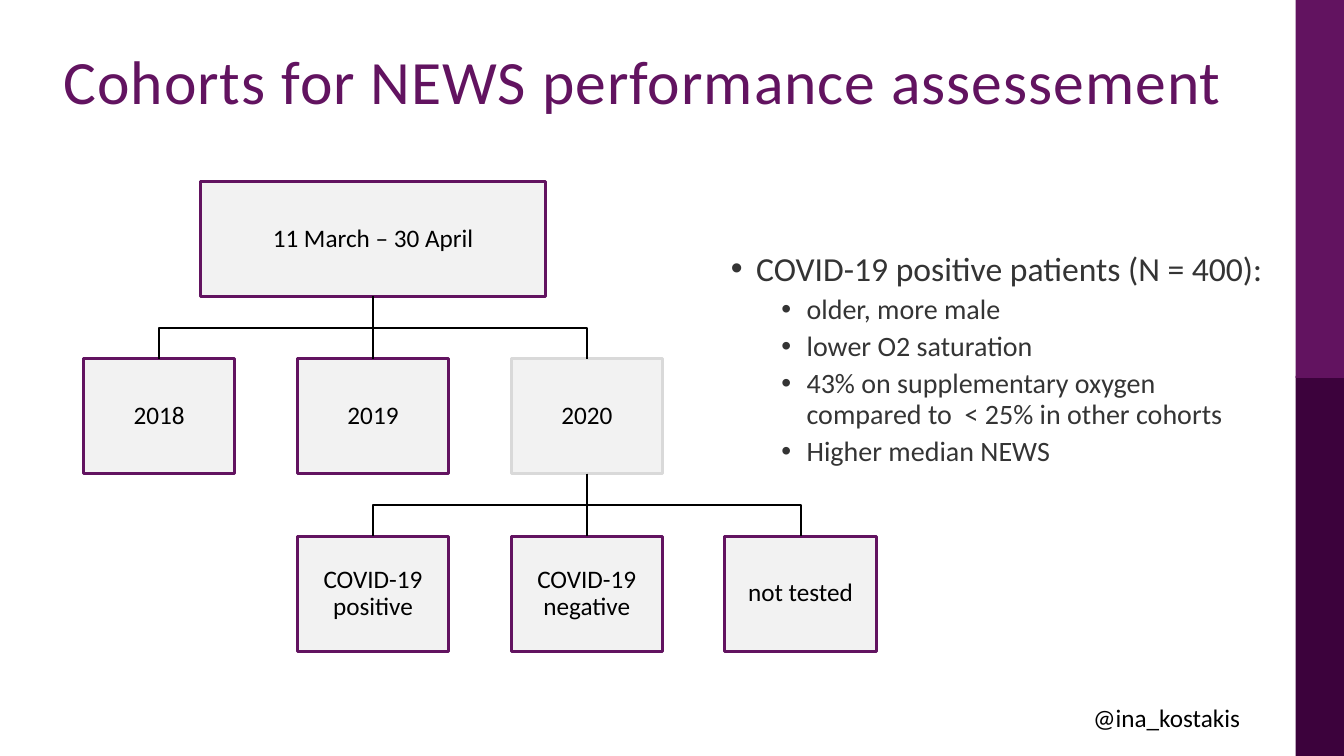
from dataclasses import dataclass

from lxml.etree import SubElement
from pptx import Presentation
from pptx.dml.color import RGBColor
from pptx.enum.shapes import MSO_CONNECTOR, MSO_SHAPE
from pptx.enum.text import MSO_ANCHOR, MSO_AUTO_SIZE, PP_ALIGN
from pptx.oxml.ns import qn
from pptx.shapes.autoshape import Shape
from pptx.slide import Slide
from pptx.text.text import TextFrame, _Paragraph
from pptx.util import Inches, Pt

RECTANGLE = MSO_SHAPE.RECTANGLE
STRAIGHT = MSO_CONNECTOR.STRAIGHT
TOP, MIDDLE = MSO_ANCHOR.TOP, MSO_ANCHOR.MIDDLE
CENTER, LEFT = PP_ALIGN.CENTER, PP_ALIGN.LEFT
NO_AUTOFIT = MSO_AUTO_SIZE.NONE
TOP_SITE, BOTTOM_SITE = 0, 2


@dataclass(frozen=True)
class Theme:
    font: str = "Calibri"
    purple: str = "621360"
    dark_purple: str = "3C023C"
    box_fill: str = "F2F2F2"
    muted: str = "D9D9D9"
    black: str = "000000"
    body: str = "343434"
    title_size: int = 44
    finding_size: int = 24
    detail_size: int = 20
    label_size: int = 18
    border: float = 2.25
    branch: float = 1.5


@dataclass(frozen=True)
class Cohort:
    label: str
    column: int
    row: int
    parent: str = ""
    width: float = 1.5
    border: str = "621360"


@dataclass(frozen=True)
class Finding:
    text: str
    level: int = 1


@dataclass(frozen=True)
class Band:
    top: float
    height: float
    color: str


THEME = Theme()
PERIOD = "11 March – 30 April"
COHORTS = [
    Cohort(PERIOD, 1, 0, width=3.42),
    Cohort("2018", 0, 1, PERIOD),
    Cohort("2019", 1, 1, PERIOD),
    Cohort("2020", 2, 1, PERIOD, border=THEME.muted),
    Cohort("COVID-19 positive", 1, 2, "2020"),
    Cohort("COVID-19 negative", 2, 2, "2020"),
    Cohort("not tested", 3, 2, "2020"),
]
FINDINGS = [
    Finding("COVID-19 positive patients (N = 400):", 0),
    Finding("older, more male"),
    Finding("lower O2 saturation"),
    Finding("43% on supplementary oxygen compared to  < 25% in other cohorts"),
    Finding("Higher median NEWS"),
]
BANDS = [Band(3.73, 3.77, THEME.dark_purple), Band(0, 3.75, THEME.purple)]
FIRST_CENTER, COLUMN_PITCH = 1.58, 2.12
FIRST_TOP, ROW_PITCH, BOX_HEIGHT = 1.8, 1.76, 1.14


def style(paragraph: _Paragraph, size: int, color: str) -> None:
    paragraph.font.name = THEME.font
    paragraph.font.size = Pt(size)
    paragraph.font.color.rgb = RGBColor.from_string(color)


def place(shape: Shape, left: float, top: float, width: float, height: float) -> None:
    shape.left, shape.top = Inches(left), Inches(top)
    shape.width, shape.height = Inches(width), Inches(height)


def setup_frame(frame: TextFrame, anchor: MSO_ANCHOR) -> None:
    frame.word_wrap = True
    frame.auto_size = NO_AUTOFIT
    frame.vertical_anchor = anchor


def add_rectangle(slide: Slide, left: float, top: float, width: float,
                  height: float, fill: str) -> Shape:
    rectangle = slide.shapes.add_shape(
        RECTANGLE, Inches(left), Inches(top), Inches(width), Inches(height))
    rectangle.shadow.inherit = False
    rectangle.fill.solid()
    rectangle.fill.fore_color.rgb = RGBColor.from_string(fill)
    rectangle.line.fill.background()
    return rectangle


def add_cohort(slide: Slide, cohort: Cohort) -> Shape:
    center = FIRST_CENTER + cohort.column * COLUMN_PITCH
    box = add_rectangle(slide, center - cohort.width / 2,
                        FIRST_TOP + cohort.row * ROW_PITCH,
                        cohort.width, BOX_HEIGHT, THEME.box_fill)
    box.line.color.rgb = RGBColor.from_string(cohort.border)
    box.line.width = Pt(THEME.border)
    frame = box.text_frame
    setup_frame(frame, MIDDLE)
    frame.margin_left = frame.margin_right = Inches(0.01)
    frame.margin_top = frame.margin_bottom = Inches(0.01)
    label = frame.paragraphs[0]
    label.text = cohort.label
    label.alignment = CENTER
    label.line_spacing = 0.9
    style(label, THEME.label_size, THEME.black)
    return box


def add_branch(slide: Slide, parent: Shape, child: Shape, straight: bool) -> None:
    start_x, start_y = parent.left + parent.width // 2, parent.top + parent.height
    end_x, end_y = child.left + child.width // 2, child.top
    if straight:
        branch = slide.shapes.add_connector(STRAIGHT, start_x, start_y, end_x, end_y)
        branch.begin_connect(parent, BOTTOM_SITE)
        branch.end_connect(child, TOP_SITE)
        SubElement(branch._element.spPr, qn("a:effectLst"))
    else:
        bend_y = (start_y + end_y) // 2
        outline = slide.shapes.build_freeform(start_x, start_y)
        outline.add_line_segments(
            [(start_x, bend_y), (end_x, bend_y), (end_x, end_y)], close=False)
        branch = outline.convert_to_shape()
        branch.shadow.inherit = False
        branch.fill.background()
    branch.line.color.rgb = RGBColor.from_string(THEME.black)
    branch.line.width = Pt(THEME.branch)


def add_chart_of_cohorts(slide: Slide) -> None:
    boxes = {cohort.label: add_cohort(slide, cohort) for cohort in COHORTS}
    columns = {cohort.label: cohort.column for cohort in COHORTS}
    for cohort in COHORTS:
        if cohort.parent:
            add_branch(slide, boxes[cohort.parent], boxes[cohort.label],
                       cohort.column == columns[cohort.parent])


def fill_title(title: Shape) -> None:
    place(title, 0.53, 0.61, 12.19, 1.24)
    setup_frame(title.text_frame, TOP)
    heading = title.text_frame.paragraphs[0]
    heading.text = "Cohorts for NEWS performance assessement"
    heading.alignment = LEFT
    heading.line_spacing = Pt(36)
    style(heading, THEME.title_size, THEME.purple)
    heading.runs[0]._r.get_or_add_rPr().set("spc", "70")


def fill_findings(body: Shape) -> None:
    place(body, 7.15, 2.45, 5.57, 3.48)
    frame = body.text_frame
    setup_frame(frame, TOP)
    for index, finding in enumerate(FINDINGS):
        paragraph = frame.add_paragraph() if index else frame.paragraphs[0]
        paragraph.text = finding.text
        paragraph.level = finding.level
        paragraph.line_spacing = 0.9
        paragraph.space_before = Pt(5 if index else 0)
        properties = paragraph._p.get_or_add_pPr()
        properties.set("marL", str(Inches(0.25 + 0.5 * finding.level)))
        properties.set("indent", str(Inches(-0.25)))
        SubElement(properties, qn("a:buFont")).set("typeface", "Arial")
        SubElement(properties, qn("a:buChar")).set("char", "•")
        size = THEME.detail_size if finding.level else THEME.finding_size
        style(paragraph, size, THEME.body)


def add_handle(slide: Slide) -> None:
    handle = slide.shapes.add_textbox(
        Inches(10.72), Inches(6.72), Inches(1.7), Inches(0.79))
    setup_frame(handle.text_frame, MIDDLE)
    paragraph = handle.text_frame.paragraphs[0]
    paragraph.text = "@ina_kostakis"
    paragraph.alignment = CENTER
    style(paragraph, THEME.label_size, THEME.black)


def main() -> None:
    presentation = Presentation()
    presentation.slide_width, presentation.slide_height = Inches(13.33), Inches(7.5)
    slide = presentation.slides.add_slide(presentation.slide_layouts[1])
    for band in BANDS:
        add_rectangle(slide, 12.85, band.top, 0.48, band.height, band.color)
    add_handle(slide)
    fill_title(slide.shapes.title)
    fill_findings(slide.placeholders[1])
    add_chart_of_cohorts(slide)
    presentation.save("out.pptx")


if __name__ == "__main__":
    main()
